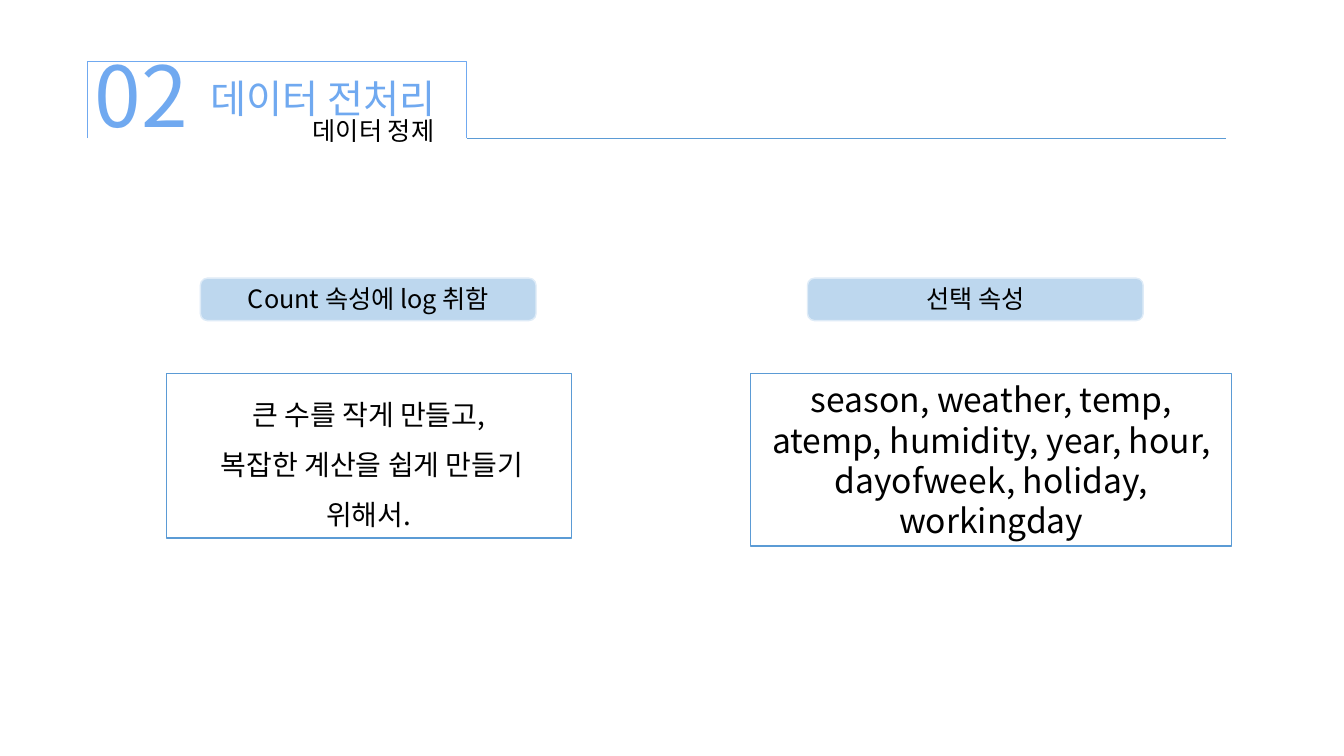
from dataclasses import dataclass

from lxml import etree
from pptx import Presentation
from pptx import util as u
from pptx.dml import color
from pptx.enum import shapes, text
from pptx.oxml import ns


@dataclass(frozen=True)
class Theme:
    font: str = "Noto Sans CJK KR"
    ink: str = "000000"
    accent: str = "70A9F0"
    rule: str = "5B9BD5"
    label_fill: str = "BDD7EE"
    label_line: str = "DEEBF7"
    label_size: int = 18
    note_size: int = 20
    list_size: int = 24
    title_size: int = 28
    number_size: int = 60
    gap_size: int = 72
    thin: float = 0.5
    edge: float = 1


THEME = Theme()
NO_BREAK = chr(160)


def rgb(value):
    return color.RGBColor.from_string(value)


def add_outline(page, preset, frame, line, width, fill=None):
    shape = page.shapes.add_shape(preset, *map(u.Cm, frame))
    shape.shadow.inherit = False
    if fill:
        shape.fill.solid()
        shape.fill.fore_color.rgb = rgb(fill)
    else:
        shape.fill.background()
    shape.line.color.rgb = rgb(line)
    shape.line.width = u.Pt(width)
    return shape


def write(box, words, size, ink=THEME.ink, align=text.PP_ALIGN.CENTER):
    box.text_frame.word_wrap = True
    para = box.text_frame.paragraphs[0]
    para.alignment = align
    span = para.add_run()
    span.text = words
    font = para.font
    font.name = THEME.font
    font.size = u.Pt(size)
    font.color.rgb = rgb(ink)
    east_asian = etree.SubElement(span.font._element, ns.qn("a:ea"))
    east_asian.set("typeface", THEME.font)
    return para


def add_text(page, frame, words, size, **style):
    box = page.shapes.add_textbox(*map(u.Cm, frame))
    box.text_frame.auto_size = text.MSO_AUTO_SIZE.SHAPE_TO_FIT_TEXT
    return write(box, words, size, **style)


def add_rule(page, left, right, height):
    rule = page.shapes.add_connector(
        shapes.MSO_CONNECTOR.STRAIGHT,
        u.Cm(left), u.Cm(height), u.Cm(right), u.Cm(height))
    rule.line.color.rgb = rgb(THEME.rule)
    rule.line.width = u.Pt(THEME.thin)
    etree.SubElement(rule._element.spPr, ns.qn("a:effectLst"))


def add_header(page, number, title, subtitle):
    bracket = add_outline(page, shapes.MSO_SHAPE.RIGHT_BRACKET,
                          (6.02, -2.26, 1.93, 9.55), THEME.accent, THEME.thin)
    bracket.adjustments[0] = 0
    bracket.rotation = 270
    add_rule(page, 11.76, 30.89, 3.48)
    add_text(page, (6.1, 2.79, 6.63, 1.02), subtitle, THEME.label_size)
    add_text(page, (4.88, 1.75, 6.53, 1.45), title, THEME.title_size,
             ink=THEME.accent)
    para = add_text(page, (2.13, 0.56, 5.18, 3.33), number, THEME.number_size,
                    ink=THEME.accent, align=text.PP_ALIGN.LEFT)
    gap = para.add_run()
    gap.text = " "
    gap.font.size = u.Pt(THEME.gap_size)


def add_label(page, left, words):
    add_outline(page, shapes.MSO_SHAPE.ROUNDED_RECTANGLE,
                (left, 7.01, 8.46, 1.07), THEME.label_line, THEME.edge,
                THEME.label_fill)
    add_text(page, (left + 0.35, 7.01, 7.77, 1.02), words, THEME.label_size)


def add_panel(page, left, width, height, words, size):
    panel = add_outline(page, shapes.MSO_SHAPE.RECTANGLE,
                        (left, 9.42, width, height), THEME.rule, THEME.edge)
    panel.text_frame.vertical_anchor = text.MSO_ANCHOR.MIDDLE
    return write(panel, words, size)


def main():
    deck = Presentation()
    deck.slide_width, deck.slide_height = u.Cm(33.87), u.Cm(19.05)
    page = deck.slides.add_slide(deck.slide_layouts[6])

    add_header(page, "02", "데이터 전처리", "데이터 정제")

    add_label(page, 5.05, "Count 속성에 log 취함")
    reason = "큰 수를 작게 만들고, 복잡한 계산을 쉽게 만들기"
    para = add_panel(page, 4.19, 10.21, 4.14,
                     NO_BREAK.join(reason.split()) + " 위해서.",
                     THEME.note_size)
    para.line_spacing = 1.5

    add_label(page, 20.35, "선택 속성")
    add_panel(page, 18.92, 12.12, 4.34,
              "season, weather, temp, atemp, humidity, year, hour, "
              "dayofweek, holiday, workingday", THEME.list_size)

    deck.save("out.pptx")


if __name__ == "__main__":
    main()
